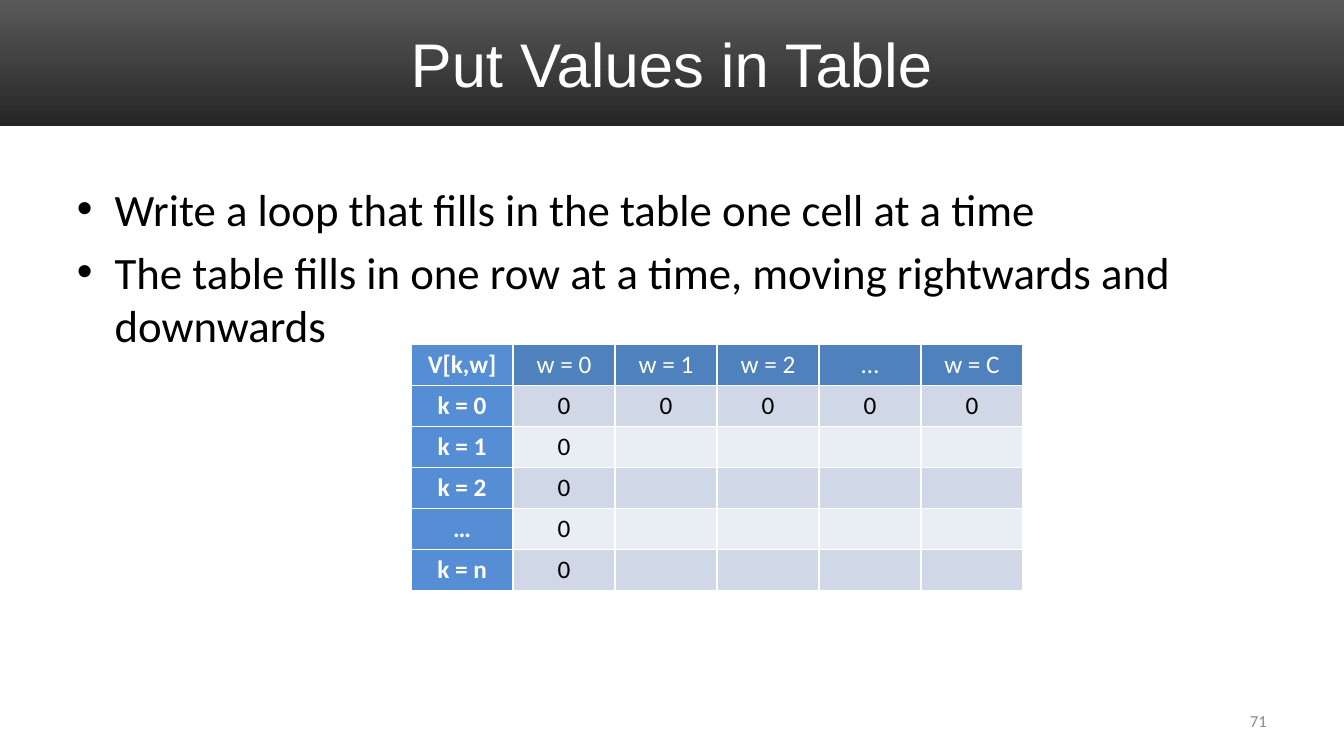
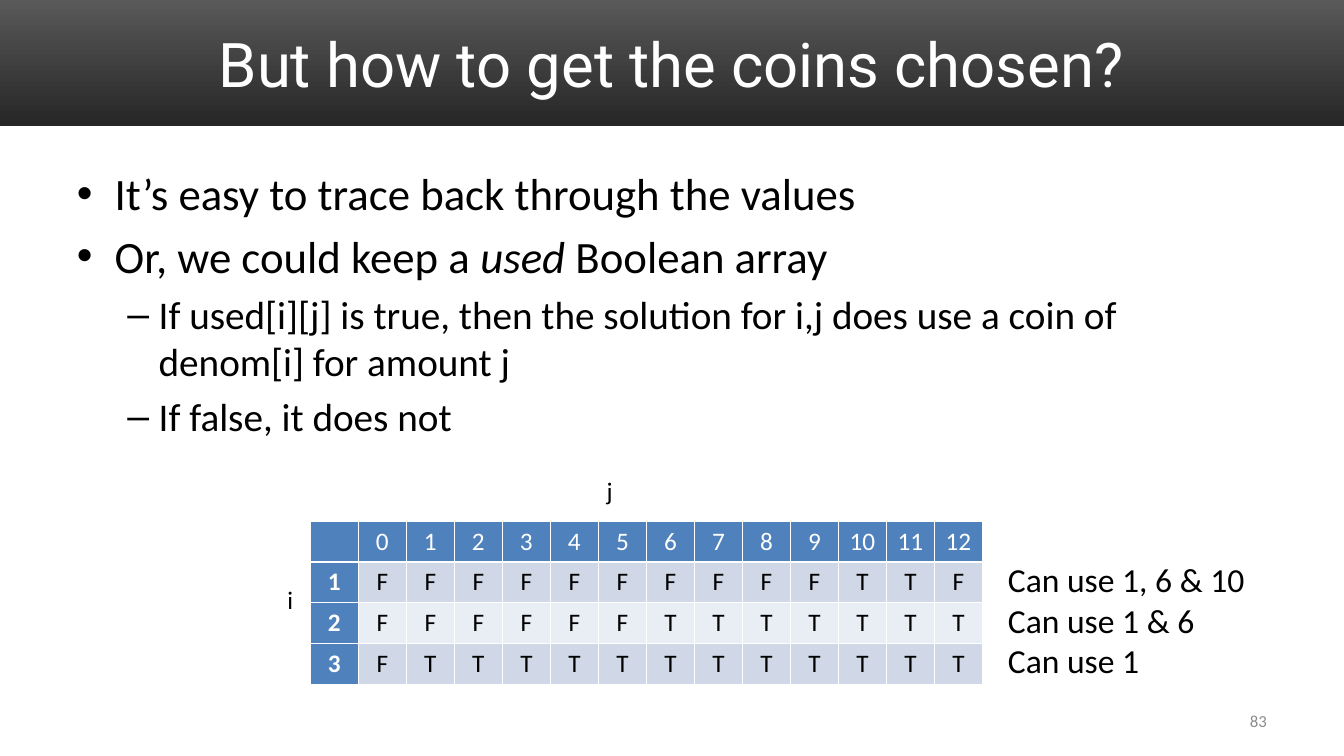
import pptx
import pptx.util
import pptx.dml.color
import pptx.enum.shapes
import pptx.enum.text
import pptx.oxml.ns
import lxml.etree

Cm, Pt = pptx.util.Cm, pptx.util.Pt
ALIGN = pptx.enum.text.PP_ALIGN
ANCHOR = pptx.enum.text.MSO_ANCHOR

# Content: a bullet is (level, [(text, italic), ...])
SLIDES = [
    {
        "title": "Put Values in Table", "font": "Arial", "page": "71",
        "body": (4.45, 12.57, ANCHOR.TOP),
        "points": [
            (0, [("Write a loop that fills in the table one cell at a time", False)]),
            (0, [("The table fills in one row at a time, moving rightwards and downwards", False)]),
        ],
        "grid": {
            "at": (10.36, 8.69), "col": 2.57, "key": "558ED5",
            "rows": [
                ["V[k,w]", "w = 0", "w = 1", "w = 2", "…", "w = C"],
                ["k = 0"] + ["0"] * 5,
                *[[key, "0"] + [""] * 4 for key in ("k = 1", "k = 2", "…", "k = n")],
            ],
        },
        "notes": [],
    },
    {
        "title": "But how to get the coins chosen?", "font": "Roboto", "page": "83",
        "body": (3.81, 7.62, ANCHOR.MIDDLE),
        "points": [
            (0, [("It’s easy to trace back through the values", False)]),
            (0, [("Or, we could keep a ", False), ("used", True), (" Boolean array", False)]),
            (1, [("If used[i][j] is true, then the solution for i,j does use a coin of "
                  "denom[i] for amount j", False)]),
            (1, [("If false, it does not", False)]),
        ],
        "grid": {
            "at": (7.82, 13.13), "col": 1.21, "key": "4F81BD",
            "rows": [
                ["", *[str(n) for n in range(13)]],
                ["1", *"FFFFFFFFFFTTF"],
                ["2", *"FFFFFFTTTTTTT"],
                ["3", *"FTTTTTTTTTTTT"],
            ],
        },
        "notes": [  # box, size name, lines
            ((6.99, 14.61, 0.71, 1.02), "cell", ["i"]),
            ((15.04, 11.86, 0.71, 1.02), "cell", ["j"]),
            ((25.15, 13.97, 8.71, 3.33), "note", ["Can use 1, 6 & 10", "Can use 1 & 6", "Can use 1"]),
        ],
    },
]


class Theme:
    font = "Calibri"
    ink, paper, grey = "000000", "FFFFFF", "8C8C8C"
    head = "4F81BD"
    bands = ("D0D8E8", "E9EDF4")
    fade = ("595959", "262626")
    size = {"title": 44, "page": 12, "cell": 18, "note": 24}
    levels = [  # size, left indent, hanging indent, bullet
        (32, 0.95, -0.95, "•"),
        (28, 2.06, -0.79, "–"),
    ]
    wide, high = 33.87, 19.05
    left, span = 1.69, 30.48
    row = 1.03


def rgb(code):
    return pptx.dml.color.RGBColor.from_string(code)


def node(parent, tag, **attrs):
    item = lxml.etree.SubElement(parent, pptx.oxml.ns.qn("a:" + tag))
    for name, value in attrs.items():
        item.set(name, str(value))
    return item


# Text
def write(para, text, size, color=Theme.ink, font=Theme.font, bold=False, italic=False):
    run = para.add_run()
    run.text = text
    face = run.font
    face.name, face.size, face.bold, face.italic = font, Pt(size), bold, italic
    face.color.rgb = rgb(color)


def frame(slide, box, anchor=ANCHOR.TOP):
    text = slide.shapes.add_textbox(*[Cm(n) for n in box]).text_frame
    text.word_wrap = True
    text.vertical_anchor = anchor
    return text


def paras(text, items):
    for n, item in enumerate(items):
        yield (text.add_paragraph() if n else text.paragraphs[0]), item


def bullets(slide, spec_box, points):
    top, high, anchor = spec_box
    text = frame(slide, (Theme.left, top, Theme.span, high), anchor)
    for para, (level, runs) in paras(text, points):
        size, left, hang, mark = Theme.levels[level]
        para.level = level
        props = para._p.get_or_add_pPr()
        props.set("marL", str(Cm(left)))
        props.set("indent", str(Cm(hang)))
        node(node(props, "spcBef"), "spcPct", val=20000)
        node(props, "buFont", typeface="Arial")
        node(props, "buChar", char=mark)
        for words, italic in runs:
            write(para, words, size, italic=italic)


# Title band and page number
def base(slide, title, font, page):
    band = slide.shapes.add_shape(pptx.enum.shapes.MSO_SHAPE.RECTANGLE,
                                  0, 0, Cm(Theme.wide), Cm(3.18))
    band.shadow.inherit = False
    band.line.fill.background()
    band.fill.gradient()
    band.fill.gradient_angle = 270
    for n, stop in enumerate(band.fill.gradient_stops):
        stop.position = n
        stop.color.rgb = rgb(Theme.fade[n])

    para = frame(slide, (Theme.left, 0.43, Theme.span, 2.33), ANCHOR.MIDDLE).paragraphs[0]
    para.alignment = ALIGN.CENTER
    write(para, title, Theme.size["title"], Theme.paper, font)

    para = frame(slide, (24.28, 17.65, 7.9, 1.02), ANCHOR.MIDDLE).paragraphs[0]
    para.alignment = ALIGN.RIGHT
    write(para, page, Theme.size["page"], Theme.grey)


# Table
def border(cell):
    props = cell._tc.get_or_add_tcPr()
    for side in ("lnL", "lnR", "lnT", "lnB"):
        line = node(props, side, w=Pt(1))
        node(node(line, "solidFill"), "srgbClr", val=Theme.paper)


def table(slide, at, col, key, rows):
    count = len(rows[0])
    grid = slide.shapes.add_table(len(rows), count, Cm(at[0]), Cm(at[1]),
                                  Cm(col * count), Cm(Theme.row * len(rows))).table
    grid.first_row = grid.horz_banding = False
    for part in grid.columns:
        part.width = Cm(col)
    for part in grid.rows:
        part.height = Cm(Theme.row)
    for r, row in enumerate(rows):
        for c, words in enumerate(row):
            cell = grid.cell(r, c)
            border(cell)
            fill = key if c == 0 else Theme.head if r == 0 else Theme.bands[(r - 1) % 2]
            cell.fill.solid()
            cell.fill.fore_color.rgb = rgb(fill)
            para = cell.text_frame.paragraphs[0]
            para.alignment = ALIGN.CENTER
            if words:
                color = Theme.ink if r and c else Theme.paper
                write(para, words, Theme.size["cell"], color, bold=c == 0)


def main():
    deck = pptx.Presentation()
    deck.slide_width, deck.slide_height = Cm(Theme.wide), Cm(Theme.high)
    for data in SLIDES:
        slide = deck.slides.add_slide(deck.slide_layouts[6])
        base(slide, data["title"], data["font"], data["page"])
        bullets(slide, data["body"], data["points"])
        table(slide, **data["grid"])
        for box, size, lines in data["notes"]:
            for para, line in paras(frame(slide, box), lines):
                write(para, line, Theme.size[size])
    deck.save("out.pptx")


if __name__ == "__main__":
    main()
